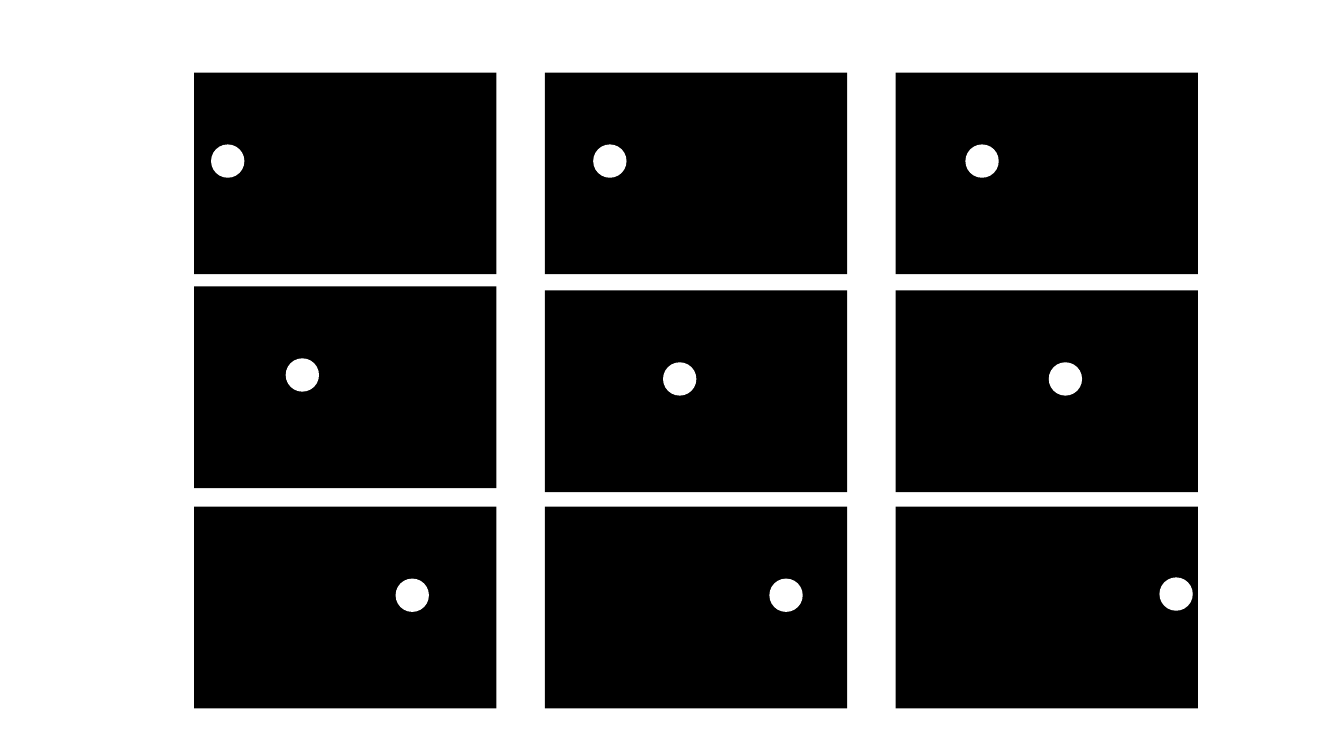
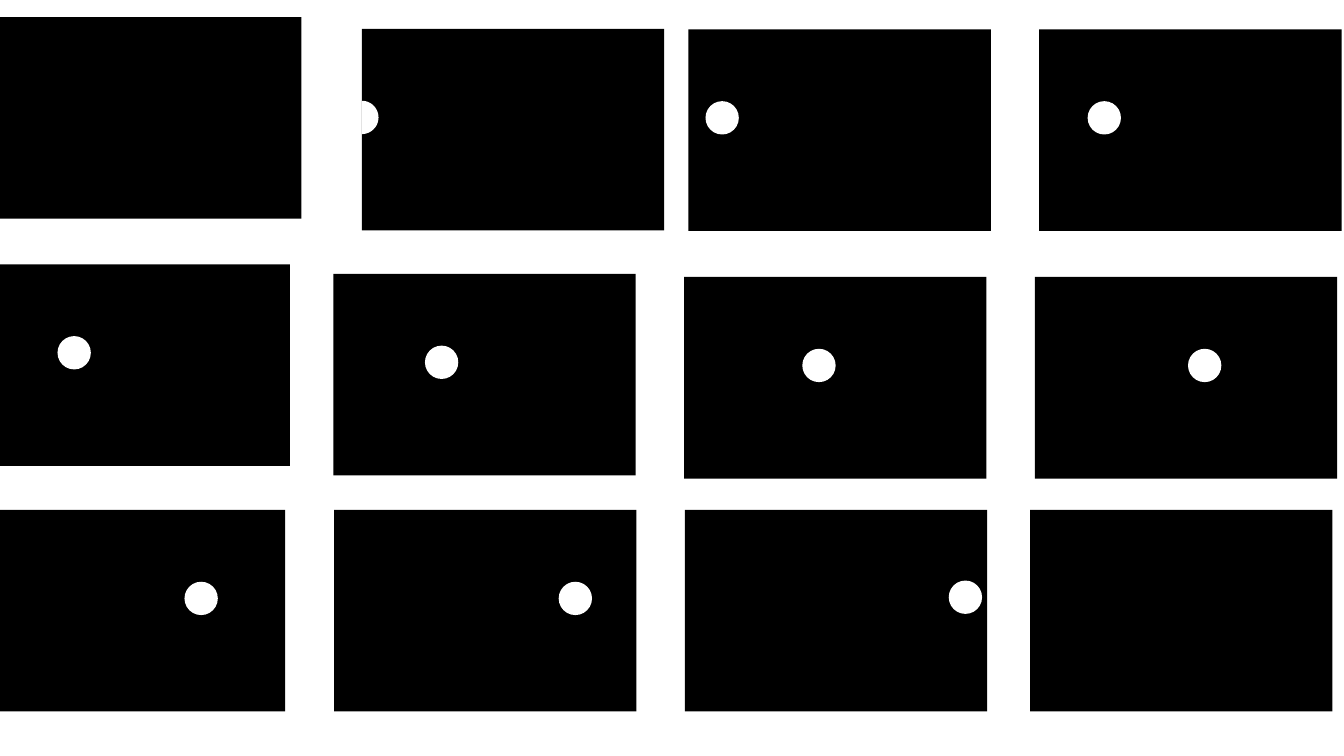
import math
from pptx import Presentation
from pptx.dml.color import RGBColor
from pptx.enum.shapes import MSO_SHAPE
from pptx.util import Cm

RECT, OVAL = MSO_SHAPE.RECTANGLE, MSO_SHAPE.OVAL
BLACK = RGBColor(0x00, 0x00, 0x00)
WHITE = RGBColor(0xFF, 0xFF, 0xFF)

FRAME_W, FRAME_H = 7.62, 5.08
DOT = 0.84
DOT_DY = 1.81
BLANK, ENTERING = "blank", "entering"
MOVES = [(0.43, DOT_DY), (1.22, DOT_DY), (1.76, DOT_DY),
         (2.31, DOT_DY), (2.98, DOT_DY), (3.86, DOT_DY),
         (5.08, DOT_DY), (5.66, DOT_DY), (6.65, 1.78)]

COL_X, COL_STEP = 4.89, 8.84
ROW_Y = [1.83, 7.32, 12.77]
NUDGE_Y = {3: -0.1}
grid = [(COL_X + i % 3 * COL_STEP, ROW_Y[i // 3] + NUDGE_Y.get(i, 0), move)
        for i, move in enumerate(MOVES)]

SPREAD = [(-0.02, 0.43), (9.12, 0.73), (17.35, 0.74), (26.19, 0.74),
          (-0.31, 6.66), (8.4, 6.9), (17.24, 6.98), (26.08, 6.98),
          (-0.43, 12.85), (8.42, 12.85), (17.26, 12.85), (25.96, 12.85)]
spread = [(x, y, move) for (x, y), move in
          zip(SPREAD, [BLANK, ENTERING, *MOVES, BLANK])]


def paint(sp, color):
    sp.fill.solid()
    sp.fill.fore_color.rgb = color
    sp.line.fill.background()
    sp.shadow.inherit = False


def add_preset(s, kind, x, y, w, h, color):
    paint(s.shapes.add_shape(kind, Cm(x), Cm(y), Cm(w), Cm(h)), color)


def add_half_dot(s, x, y):
    r = DOT / 2
    angles = [math.radians(a) for a in range(-90, 91, 5)]
    points = [(Cm(x + r * math.cos(a)), Cm(y + r + r * math.sin(a)))
              for a in angles]
    fb = s.shapes.build_freeform(*points[0])
    fb.add_line_segments(points[1:], close=True)
    paint(fb.convert_to_shape(), WHITE)


def add_frame(s, x, y, move):
    add_preset(s, RECT, x, y, FRAME_W, FRAME_H, BLACK)
    if move == ENTERING:
        add_half_dot(s, x, y + DOT_DY)
    elif move != BLANK:
        dx, dy = move
        add_preset(s, OVAL, x + dx, y + dy, DOT, DOT, WHITE)


prs = Presentation()
prs.slide_width, prs.slide_height = Cm(33.87), Cm(19.05)
for frames in (grid, spread):
    s = prs.slides.add_slide(prs.slide_layouts[6])
    for frame in reversed(frames):
        add_frame(s, *frame)
prs.save("out.pptx")
